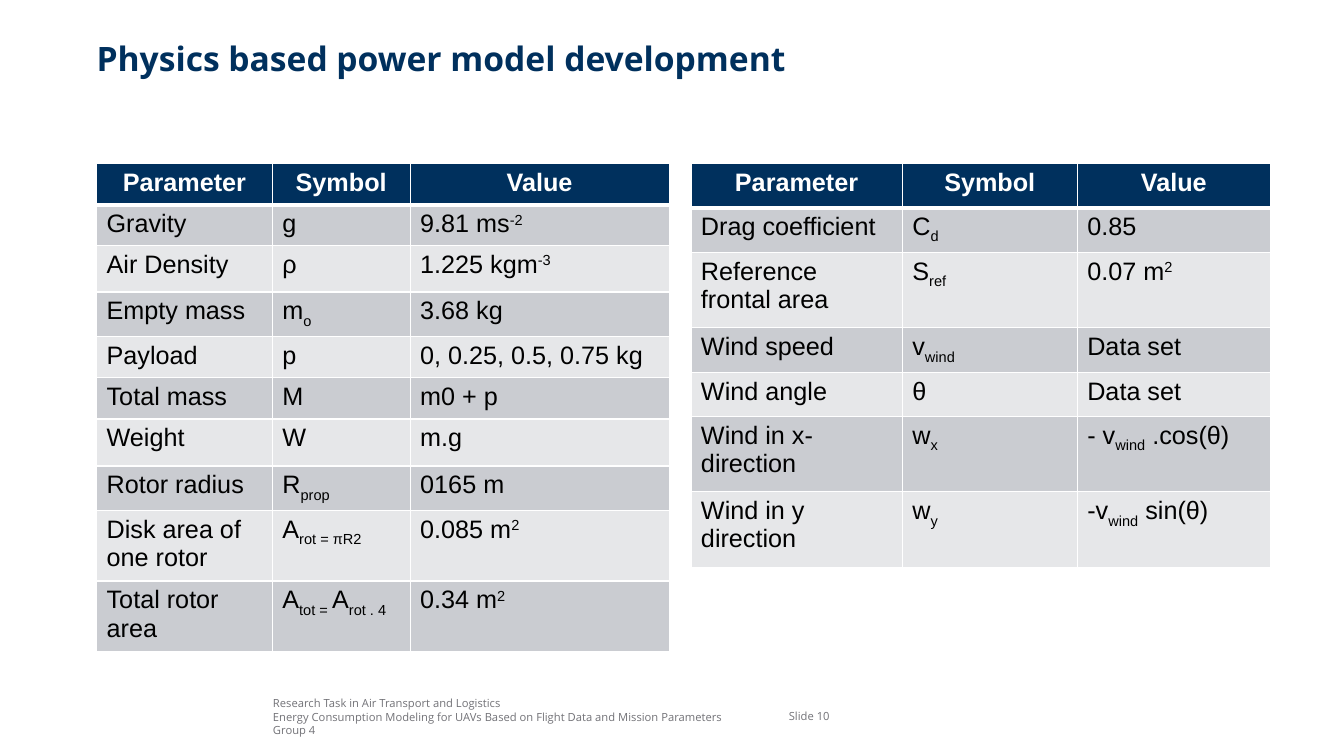
from lxml import etree
from pptx import Presentation
from pptx.dml.color import RGBColor
from pptx.enum import text
from pptx.oxml import ns
from pptx.util import Pt

NAVY = RGBColor(0x00, 0x30, 0x5D)
GREY = RGBColor(0x72, 0x72, 0x77)
BLACK = RGBColor(0x00, 0x00, 0x00)
WHITE = RGBColor(0xFF, 0xFF, 0xFF)
BANDS = [RGBColor(0xCA, 0xCC, 0xD1), RGBColor(0xE6, 0xE7, 0xE9)]

HEADINGS = ("Parameter", "Symbol", "Value")

# "|" separates runs; a run led by "^" is raised, by "_" lowered
BASELINES = {"^": "30000", "_": "-25000"}

VEHICLE_ROWS = [
    ("Gravity", "g", "9.81 ms|^-2"),
    ("Air Density", "ρ", "1.225 kgm|^-3"),
    ("Empty mass", "m|_o", "3.68 kg"),
    ("Payload", "p", "0, 0.25, 0.5, 0.75 kg"),
    ("Total mass", "M", "m0 + p"),
    ("Weight", "W", "m.g"),
    ("Rotor radius", "R|_prop", "0165 m"),
    ("Disk area of one rotor", "A|_rot = πR2", "0.085 m|^2"),
    ("Total rotor area", "A|_tot = |A|_rot . 4", "0.34 m|^2"),
]
VEHICLE_HEIGHTS = [29.2, 29.2, 33.2, 29.5, 29.5, 29.5, 33.5, 29.5, 47.5, 47.5]

WIND_ROWS = [
    ("Drag coefficient", "C|_d", "0.85"),
    ("Reference frontal area", "S|_ref", "0.07 m|^2"),
    ("Wind speed", "v|_wind", "Data set"),
    ("Wind angle", "θ", "Data set"),
    ("Wind in x-direction", "w|_x", "- v|_wind| .cos(θ)"),
    ("Wind in y direction", "w|_y", "-v|_wind| sin(θ)"),
]
WIND_HEIGHTS = [31.4, 31.4, 54, 31.4, 31.4, 54, 54]


def add_span(para, words, font, size, color, bold=False):
    span = para.add_run()
    span.text = words
    span.font.name = font
    span.font.size = Pt(size)
    span.font.bold = bold
    span.font.color.rgb = color
    return span


def add_lines(page, left, top, width, height, lines, size, color,
              bold=False, anchor=text.MSO_ANCHOR.TOP):
    box = page.shapes.add_textbox(Pt(left), Pt(top), Pt(width), Pt(height))
    frame = box.text_frame
    frame.word_wrap = True
    frame.vertical_anchor = anchor
    frame.margin_left = frame.margin_right = 0
    frame.margin_top = frame.margin_bottom = 0
    for index, line in enumerate(lines):
        para = frame.add_paragraph() if index else frame.paragraphs[0]
        add_span(para, line, "Open Sans", size, color, bold)


def add_borders(cell, bottom):
    properties = cell._tc.get_or_add_tcPr()
    widths = {"lnL": 1, "lnR": 1, "lnT": 1, "lnB": bottom}
    # Border lines come before the fill in the cell properties
    for position, (side, width) in enumerate(widths.items()):
        line = etree.Element(ns.qn("a:" + side), w=str(Pt(width)))
        fill = etree.SubElement(line, ns.qn("a:solidFill"))
        etree.SubElement(fill, ns.qn("a:srgbClr"), val=str(WHITE))
        properties.insert(position, line)


def fill_cell(cell, words, row):
    header = row == 0
    cell.fill.solid()
    cell.fill.fore_color.rgb = NAVY if header else BANDS[(row - 1) % 2]
    add_borders(cell, 3 if header else 1)
    para = cell.text_frame.paragraphs[0]
    if header:
        para.alignment = text.PP_ALIGN.CENTER
    for part in words.split("|"):
        baseline = BASELINES.get(part[0])
        span = add_span(para, part[1:] if baseline else part, "Arial", 18,
                        WHITE if header else BLACK, header)
        if baseline:
            span.font._element.set("baseline", baseline)


def add_parameters(page, left, top, widths, heights, rows):
    rows = [HEADINGS] + rows
    frame = page.shapes.add_table(len(rows), len(HEADINGS), Pt(left), Pt(top),
                                  Pt(sum(widths)), Pt(sum(heights)))
    table = frame.table
    for column, width in zip(table.columns, widths):
        column.width = Pt(width)
    for row, (values, height) in enumerate(zip(rows, heights)):
        table.rows[row].height = Pt(height)
        for column, words in enumerate(values):
            fill_cell(table.cell(row, column), words, row)


def add_footer(page, left, top, height):
    middle = text.MSO_ANCHOR.MIDDLE
    lines = [
        "Research Task in Air Transport and Logistics",
        "Energy Consumption Modeling for UAVs Based on Flight Data and Mission Parameters",
        "Group 4",
    ]
    add_lines(page, left, top + 0.5, 353, height, lines, 8, GREY, anchor=middle)
    add_lines(page, left + 368.5, top, 55.5, height, ["Slide 10"], 8, GREY,
              anchor=middle)


def main():
    deck = Presentation()
    deck.slide_width, deck.slide_height = Pt(960), Pt(540)
    page = deck.slides.add_slide(deck.slide_layouts[6])

    # Title
    add_lines(page, 69, 27.4, 833, 54, ["Physics based power model development"],
              24, NAVY, bold=True)

    # Parameter tables
    add_parameters(page, 69, 117, [125.5, 98.5, 185], VEHICLE_HEIGHTS, VEHICLE_ROWS)
    add_parameters(page, 493.5, 117, [151, 125, 138], WIND_HEIGHTS, WIND_ROWS)

    # Footer
    add_footer(page, 195, 497, 28.8)
    deck.save("out.pptx")


if __name__ == "__main__":
    main()
